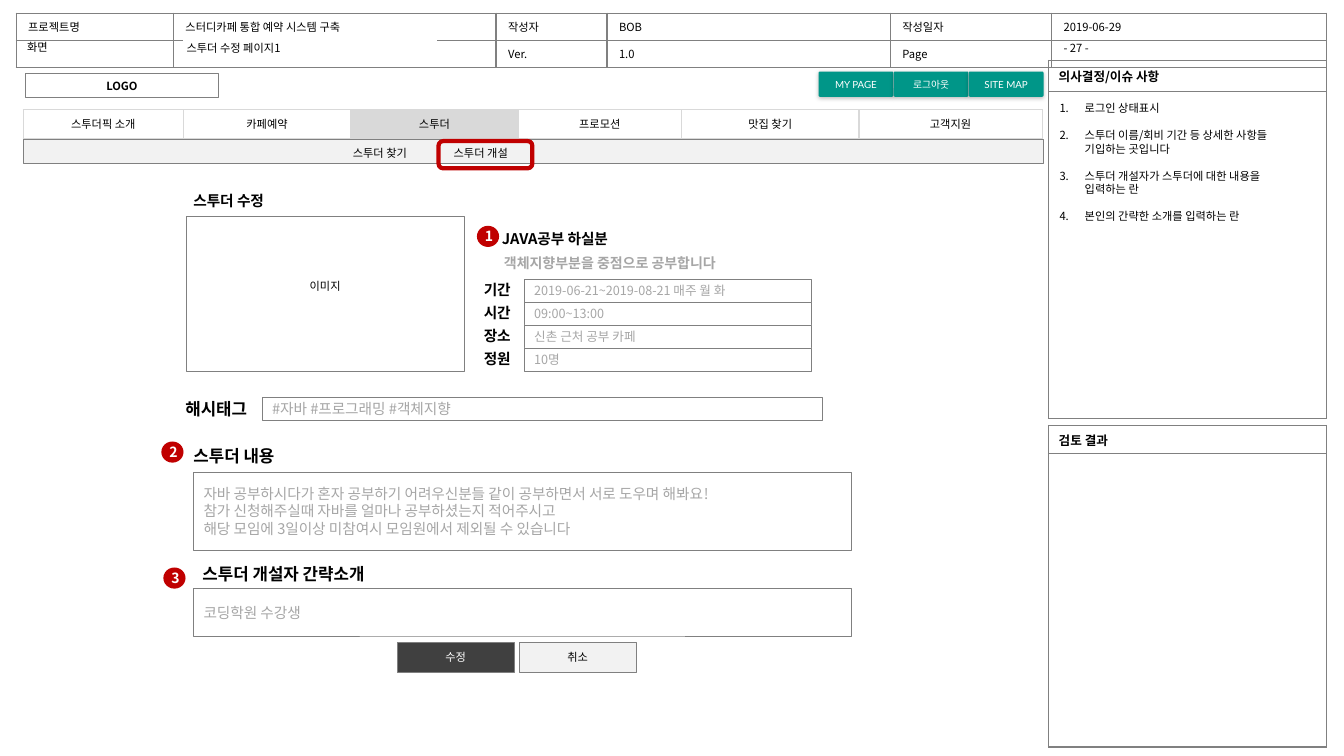
from lxml import etree
from pptx import Presentation
from pptx.dml.color import RGBColor
from pptx.enum.shapes import MSO_SHAPE
from pptx.enum.text import MSO_ANCHOR, PP_ALIGN
from pptx.oxml.ns import qn
from pptx.util import Inches, Pt

RECTANGLE = MSO_SHAPE.RECTANGLE
ROUNDED = MSO_SHAPE.ROUNDED_RECTANGLE
OVAL = MSO_SHAPE.OVAL
MIDDLE, TOP = MSO_ANCHOR.MIDDLE, MSO_ANCHOR.TOP
LEFT, CENTER = PP_ALIGN.LEFT, PP_ALIGN.CENTER

BLACK = RGBColor(0, 0, 0)
WHITE = RGBColor(255, 255, 255)
GRAY = RGBColor(0x80, 0x80, 0x80)
HINT = RGBColor(0xA6, 0xA6, 0xA6)
SILVER = RGBColor(0xD9, 0xD9, 0xD9)
PALE = RGBColor(0xF2, 0xF2, 0xF2)
DARK = RGBColor(0x40, 0x40, 0x40)
RED = RGBColor(0xC0, 0, 0)
TEAL = RGBColor(0, 0x96, 0x88)
KOREAN, LATIN = "Noto Sans CJK KR", "Lato"


def add_xml(parent, tag, **attributes):
    return etree.SubElement(parent, qn(tag), attributes)


def write(frame, text, size, color=BLACK, bold=False, align=LEFT, font=KOREAN):
    frame.text = text
    for para in frame.paragraphs:
        para.alignment = align
        for span in para.runs:
            span.font.size = Pt(size)
            span.font.bold = bold
            span.font.color.rgb = color
            span.font.name = font
            add_xml(span.font._element, "a:ea", typeface=KOREAN)


def set_insets(target, left, top, right, bottom):
    target.margin_left, target.margin_top = Inches(left), Inches(top)
    target.margin_right, target.margin_bottom = Inches(right), Inches(bottom)


def add_label(page, left, top, width, height, text, size, color=BLACK,
              bold=False, anchor=MIDDLE):
    box = page.shapes.add_textbox(Inches(left), Inches(top), Inches(width), Inches(height))
    frame = box.text_frame
    frame.word_wrap = True
    frame.vertical_anchor = anchor
    write(frame, text, size, color, bold)
    return frame


def add_box(page, left, top, width, height, fill=None, line=GRAY, weight=0.25, kind=RECTANGLE):
    box = page.shapes.add_shape(kind, Inches(left), Inches(top), Inches(width), Inches(height))
    box.shadow.inherit = False
    box.text_frame.word_wrap = True
    box.text_frame.vertical_anchor = MIDDLE
    if fill is None:
        box.fill.background()
    else:
        box.fill.solid()
        box.fill.fore_color.rgb = fill
    if line is None:
        box.line.fill.background()
    else:
        box.line.color.rgb = line
        box.line.width = Pt(weight)
    return box


def add_input(page, left, top, width, height, text, size):
    box = add_box(page, left, top, width, height, WHITE)
    write(box.text_frame, text, size, HINT)
    return box.text_frame


def add_badge(page, left, top, number):
    badge = add_box(page, left, top, 0.22, 0.21, RED, None, kind=OVAL)
    set_insets(badge.text_frame, 0.02, 0, 0, 0)
    write(badge.text_frame, number, 10, WHITE, True, CENTER)


def add_button(page, left, text, fill, color):
    button = add_box(page, left, 6.37, 1.16, 0.3, fill)
    write(button.text_frame, text, 8, color, align=CENTER)


def add_menu_button(page, left, text):
    button = add_box(page, left, 0.71, 0.74, 0.25, TEAL, None, kind=ROUNDED)
    button.adjustments[0] = 0.05
    set_insets(button.text_frame, 0.08, 0.05, 0.08, 0.05)
    write(button.text_frame, text, 7, WHITE, align=CENTER, font=LATIN)
    effects = button._element.spPr.find(qn("a:effectLst"))
    shadow = add_xml(effects, "a:outerShdw", blurRad=str(Pt(3)), dist=str(Pt(1)),
                     dir="5400000", algn="t", rotWithShape="0")
    shade = add_xml(shadow, "a:srgbClr", val=str(BLACK))
    add_xml(shade, "a:alpha", val="25000")


def set_borders(cell, color):
    properties = cell._tc.get_or_add_tcPr()
    for index, side in enumerate(("a:lnL", "a:lnR", "a:lnT", "a:lnB")):
        border = etree.Element(qn(side), w=str(Pt(1)))
        fill = add_xml(border, "a:solidFill")
        add_xml(fill, "a:srgbClr", val=str(color))
        properties.insert(index, border)


def add_grid(page, left, top, widths, heights, rows, size=8, bold=False, align=LEFT,
             inset=0.12, border=GRAY):
    table = page.shapes.add_table(len(heights), len(widths), Inches(left), Inches(top),
                                  Inches(sum(widths)), Inches(sum(heights))).table
    table.first_row = table.horz_banding = False
    for column, width in zip(table.columns, widths):
        column.width = Inches(width)
    for row, height, texts in zip(table.rows, heights, rows):
        row.height = Inches(height)
        for cell, text in zip(row.cells, texts):
            cell.fill.background()
            cell.vertical_anchor = MIDDLE
            set_insets(cell, inset, 0.05, inset, 0.05)
            set_borders(cell, border)
            if text:
                write(cell.text_frame, text, size, bold=bold, align=align)
            else:
                add_xml(cell.text_frame.paragraphs[0]._p, "a:endParaRPr", sz=str(size * 100))
    return table


def add_header(page):
    add_grid(page, 0.16, 0.13, [1.56, 3.2, 1.1, 2.81, 1.6, 2.73], [0.27, 0.27], [
        ["프로젝트명", "스터디카페 통합 예약 시스템 구축", "작성자", "BOB", "작성일자", "2019-06-29"],
        ["", "", "Ver.", "1.0", "Page", ""]])
    title = add_box(page, 1.82, 0.38, 2.51, 0.19, WHITE, WHITE, 1)
    set_insets(title.text_frame, 0.03, 0, 0, 0)
    write(title.text_frame, "스투더 수정 페이지1", 8)
    add_label(page, 0.17, 0.35, 0.6, 0.24, "화면", 8)
    add_label(page, 10.45, 0.36, 1.07, 0.24, "- 27 -", 8)


def add_side_panels(page):
    for top, heights, title in ((0.6, [0.31, 3.24], "의사결정/이슈 사항"),
                                (4.22, [0.28, 2.91], "검토 결과")):
        add_grid(page, 10.4, top, [2.76], heights, [[title], [""]], 9, True, inset=0.1)
    issues = ["로그인 상태표시",
              "스투더 이름/회비 기간 등 상세한 사항들\v기입하는 곳입니다",
              "스투더 개설자가 스투더에 대한 내용을 \v입력하는 란",
              "본인의 간략한 소개를 입력하는 란"]
    frame = add_label(page, 10.41, 0.96, 2.62, 2.95, "\n".join(issues), 8, anchor=TOP)
    for para in frame.paragraphs:
        para.line_spacing = para.space_after = Pt(9.6)
        properties = para._p.get_or_add_pPr()
        properties.set("marL", str(Inches(0.25)))
        properties.set("indent", str(Inches(-0.25)))
        add_xml(properties, "a:buFont", typeface="+mj-lt")
        add_xml(properties, "a:buAutoNum", type="arabicPeriod")


def add_navigation(page):
    logo = add_box(page, 0.25, 0.73, 1.92, 0.24, weight=0.75)
    write(logo.text_frame, "LOGO", 8, bold=True, align=CENTER)
    for index, text in enumerate(("MY PAGE", "로그아웃", "SITE MAP")):
        add_menu_button(page, 8.12 + 0.745 * index, text)
    menu = add_grid(page, 0.23, 1.09, [1.59, 1.66, 1.66, 1.62, 1.76, 1.82], [0.28],
                    [["스투더픽 소개", "카페예약", "스투더", "프로모션", "맛집 찾기", "고객지원"]],
                    align=CENTER, border=SILVER)
    current = menu.cell(0, 2)
    current.fill.solid()
    current.fill.fore_color.rgb = SILVER
    add_box(page, 0.23, 1.38, 10.12, 0.24, PALE, weight=0.5)
    submenu = add_label(page, 3.42, 1.41, 1.9, 0.22, "스투더 찾기\t스투더 개설", 8)
    set_insets(submenu, 0.08, 0.04, 0.08, 0.04)
    add_box(page, 4.35, 1.4, 0.93, 0.27, line=RED, weight=3, kind=ROUNDED)


def add_form(page):
    add_label(page, 1.82, 1.85, 1.43, 0.29, "스투더 수정", 10.5, bold=True)
    preview = add_box(page, 1.85, 2.14, 2.75, 1.54, WHITE)
    set_insets(preview.text_frame, 0.1, 0.05, 0.1, 0.19)
    write(preview.text_frame, "이미지", 8, align=CENTER)

    add_label(page, 4.88, 2.22, 1.8, 0.29, "JAVA공부 하실분", 10.5, bold=True)
    add_label(page, 4.9, 2.47, 3.48, 0.27, "객체지향부분을 중점으로 공부합니다", 10, HINT, True)
    details = [("기간", "2019-06-21~2019-08-21 매주 월 화"), ("시간", "09:00~13:00"),
               ("장소", "신촌 근처 공부 카페"), ("정원", "10명")]
    for index, (name, value) in enumerate(details):
        top = 2.77 + 0.227 * index
        add_input(page, 5.2, top, 2.85, 0.23, value, 9)
        add_label(page, 4.7, top - 0.04, 0.6, 0.29, name, 10.5, bold=True)

    add_label(page, 1.74, 3.91, 1.43, 0.3, "해시태그", 12, bold=True)
    add_input(page, 2.6, 3.94, 5.56, 0.23, "#자바 #프로그래밍 #객체지향", 10.5)

    add_label(page, 1.82, 4.37, 1.43, 0.3, "스투더 내용", 12, bold=True)
    content = add_input(page, 1.92, 4.68, 6.52, 0.78,
                        "자바 공부하시다가 혼자 공부하기 어려우신분들 같이 공부하면서 서로 도우며 해봐요!\v"
                        "참가 신청해주실때 자바를 얼마나 공부하셨는지 적어주시고\n"
                        "해당 모임에 3일이상 미참여시 모임원에서 제외될 수 있습니다", 10.5)
    for para in content.paragraphs:
        para.line_spacing = Pt(12.4)

    add_label(page, 1.91, 5.54, 2.12, 0.3, "스투더 개설자 간략소개", 12, bold=True)
    add_input(page, 1.92, 5.84, 6.52, 0.47, "코딩학원 수강생", 10.5)
    for left, top, number in ((4.73, 2.24, "1"), (1.6, 4.38, "2"), (1.62, 5.63, "3")):
        add_badge(page, left, top, number)
    add_button(page, 3.94, "수정", DARK, WHITE)
    add_button(page, 5.15, "취소", PALE, BLACK)


def main():
    deck = Presentation()
    deck.slide_width, deck.slide_height = Inches(13.33), Inches(7.5)
    page = deck.slides.add_slide(deck.slide_layouts[6])
    add_header(page)
    add_side_panels(page)
    add_navigation(page)
    add_form(page)
    deck.save("out.pptx")


main()
